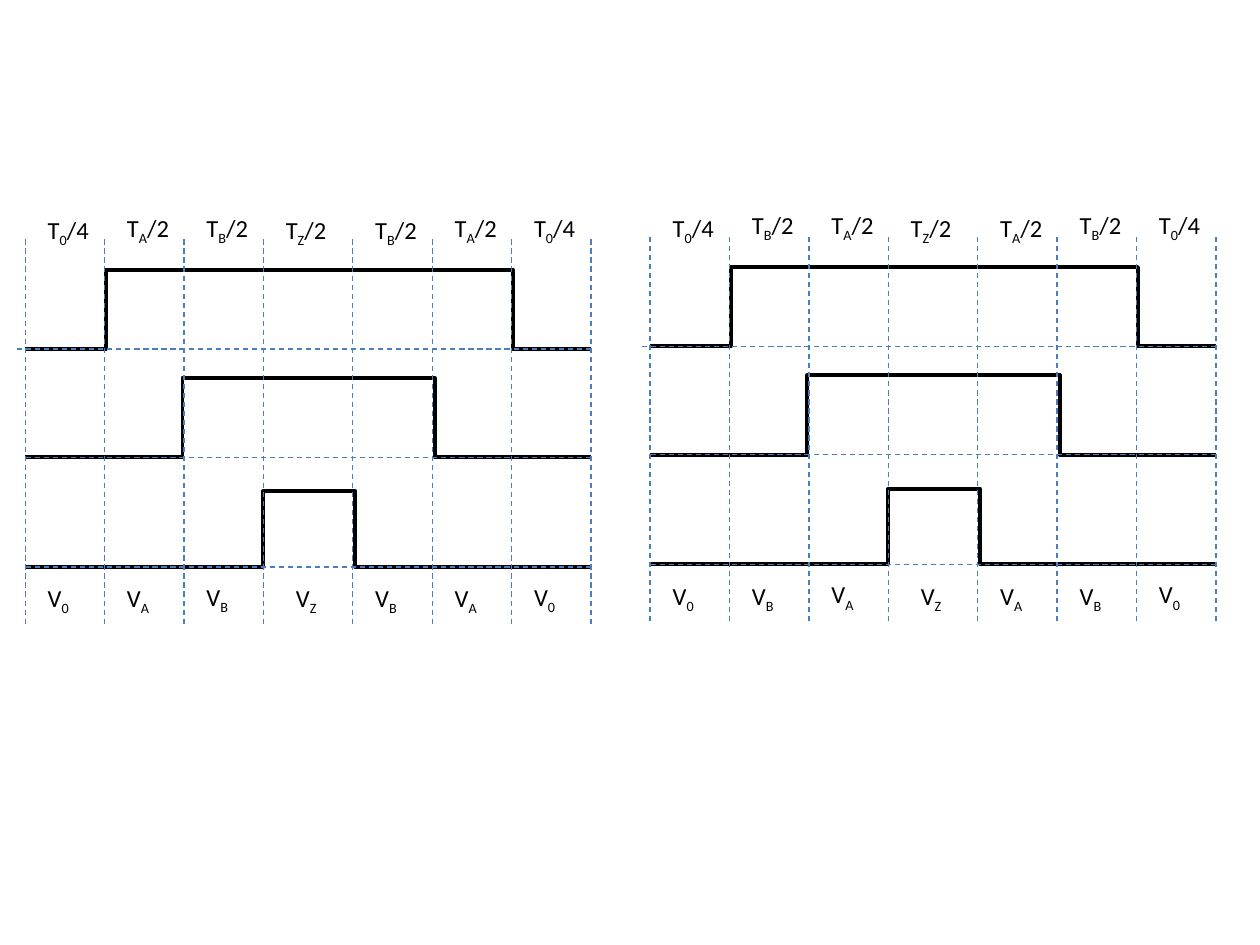
from lxml.etree import SubElement as Sub
from pptx import Presentation
from pptx.dml.color import RGBColor as Rgb
from pptx.enum.dml import MSO_LINE as Dash
from pptx.enum.shapes import MSO_CONNECTOR as Conn
from pptx.enum.text import MSO_AUTO_SIZE as Auto
from pptx.oxml.ns import qn
from pptx.util import Inches, Pt

INK, BLUE = "000000", "4B7EBC"
PULSE = {"width": Pt(2.25)}
GUIDE = {"width": Pt(0.75), "dash_style": Dash.DASH}
FONT = {"name": "Calibri", "size": Pt(14)}
FRAME = {"word_wrap": True, "auto_size": Auto.SHAPE_TO_FIT_TEXT}

WIDE, HIGH = 4.49, 3.33
COL, GAP = 0.63, 0.08
MARKS = [0, 0.63, 1.26, 1.89, 2.6, 3.23, 3.86, WIDE]
MID = 2.37
WAVES = [
    (0.5, 1.13, 0.64, 3.87, -0.08),
    (1.36, 1.99, 1.25, 3.25, 0),
    (2.26, 2.86, 1.89, 2.62, 0),
]
PANELS = [(0.2, 1.64, "0ABZBA0"), (5.16, 1.62, "0BAZAB0")]


def put(item, vals):
    """Set each named value on an item."""
    for key, val in vals.items():
        setattr(item, key, val)


def paint(part, color):
    """Give a font or line one solid hex colour."""
    part.fill.solid()
    part.fill.fore_color.rgb = Rgb.from_string(color)


def link(slide, box, ends, color, look, bend=None):
    """Join two points of a box, with an elbow at a share of the way."""
    x, y = box
    x1, y1, x2, y2 = ends
    kind = Conn.STRAIGHT if bend is None else Conn.ELBOW
    spots = [Inches(v) for v in (x + x1, y + y1, x + x2, y + y2)]
    line = slide.shapes.add_connector(kind, *spots)
    paint(line.line, color)
    put(line.line, look)
    props = line._element.spPr
    Sub(props, qn("a:effectLst"))
    if bend is not None:
        geom = props.find(qn("a:prstGeom"))
        lst = geom.find(qn("a:avLst"))
        if lst is None:
            lst = Sub(geom, qn("a:avLst"))
        Sub(lst, qn("a:gd"), name="adj1", fmla=f"val {round(bend * 100000)}")


def label(slide, x, y, wide, parts):
    """Write a symbol whose second part is a subscript."""
    area = [Inches(v) for v in (x, y, wide, 0.34)]
    frame = slide.shapes.add_textbox(*area).text_frame
    put(frame, FRAME)
    for i, text in enumerate(parts):
        run = frame.paragraphs[0].add_run()
        run.text = text
        put(run.font, FONT)
        paint(run.font, INK)
        if i == 1:
            run._r.get_or_add_rPr().set("baseline", "-25000")


def waves(slide, box):
    """Draw the three pulses, each as a rising and a falling half."""
    for top, low, rise, fall, _ in WAVES:
        for edge, step in ((0, rise), (WIDE, fall)):
            bend = (step - edge) / (MID - edge)
            link(slide, box, (edge, low, MID, top), INK, PULSE, bend)


def guides(slide, box):
    """Draw the dashed time marks and base lines."""
    for x in MARKS:
        link(slide, box, (x, 0.26, x, HIGH), BLUE, GUIDE)
    for _, low, _, _, start in WAVES:
        link(slide, box, (WIDE, low, start, low), BLUE, GUIDE)


def names(slide, box, order):
    """Label each interval with its time above and vector below."""
    x, y = box
    for i, sub in enumerate(order):
        left = x + MARKS[i] + GAP
        drop = 0.02 if i in (0, 3, 4) else 0
        part = "/4" if sub == "0" else "/2"
        label(slide, left, y + drop, COL, ("T", sub, part))
        shift = GAP if sub == "Z" else 0
        rise = 0.01 if i in (2, 6) else 0
        label(slide, left + shift, y + 2.94 - rise, 0.47, ("V", sub))


def panel(slide, x, y, order):
    """Place one timing diagram at its left and top."""
    box = (x, y)
    waves(slide, box)
    guides(slide, box)
    names(slide, box, order)


def main():
    """Build and save the slide."""
    deck = Presentation()
    put(deck, {"slide_width": Inches(10), "slide_height": Inches(7.5)})
    slide = deck.slides.add_slide(deck.slide_layouts[6])
    for x, y, order in PANELS:
        panel(slide, x, y, order)
    deck.save("out.pptx")


main()
